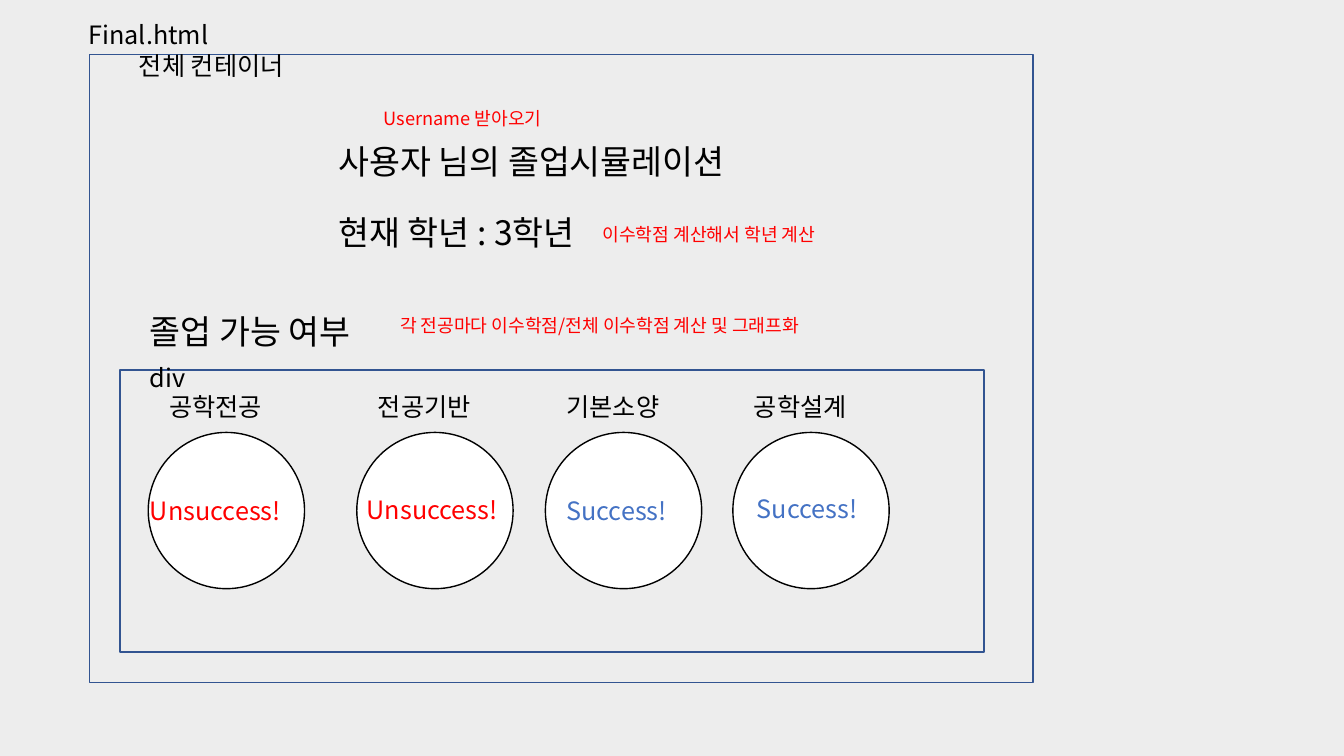
from lxml import etree
from pptx import Presentation
from pptx import util as u
from pptx.dml.color import RGBColor
from pptx.enum import shapes, text
from pptx.oxml.ns import qn

FONT = "Noto Sans CJK KR"
BLACK, RED, BLUE, NAVY = "000000", "FF0000", "4472C4", "325491"
WIDTH, HEIGHT = u.Inches(13.33), u.Inches(7.5)
ROW_HEIGHT = {24: 6.67, 18: 5.33, 13: 4.27}  # text box height by font size
CIRCLE_W, CIRCLE_H = 11.63, 20.67

# heading, verdict, verdict colour, circle left, verdict left, top and width
AREAS = [
    ("공학전공", "Unsuccess!", RED, 11.03, 10.42, 64.8, 12.45),
    ("전공기반", "Unsuccess!", RED, 26.55, 26.55, 64.67, 12.45),
    ("기본소양", "Success!", BLUE, 40.58, 41.4, 64.8, 11.33),
    ("공학설계", "Success!", BLUE, 54.53, 55.58, 64.53, 11.33),
]


def color(value):
    return RGBColor.from_string(value)


def place(x, y, w, h):
    """Turn percentages of the slide into lengths."""
    return (round(WIDTH * x / 100), round(HEIGHT * y / 100),
            round(WIDTH * w / 100), round(HEIGHT * h / 100))


def add_text(s, content, x, y, w, size=18, fill=BLACK):
    tf = s.shapes.add_textbox(*place(x, y, w, ROW_HEIGHT[size])).text_frame
    tf.word_wrap = True
    tf.auto_size = text.MSO_AUTO_SIZE.SHAPE_TO_FIT_TEXT
    r = tf.paragraphs[0].add_run()
    r.text = content
    r.font.size = u.Pt(size)
    r.font.name = FONT
    r.font.color.rgb = color(fill)
    etree.SubElement(r.font._element, qn("a:ea"), typeface=FONT)


def add_outline(s, kind, x, y, w, h, line, fill=None):
    sp = s.shapes.add_shape(kind, *place(x, y, w, h))
    sp.shadow.inherit = False
    if fill:
        sp.fill.solid()
        sp.fill.fore_color.rgb = color(fill)
    else:
        sp.fill.background()
    sp.line.color.rgb = color(line)
    sp.line.width = u.Pt(1)


def add_area(s, heading, verdict, fill, x, verdict_x, verdict_y, verdict_w):
    add_outline(s, shapes.MSO_SHAPE.OVAL, x, 57.2, CIRCLE_W, CIRCLE_H,
                BLACK, "FFFFFF")
    add_text(s, heading, x + 0.83, 51.07, CIRCLE_W)
    add_text(s, verdict, verdict_x, verdict_y, verdict_w, fill=fill)


def main():
    prs = Presentation()
    prs.slide_width, prs.slide_height = WIDTH, HEIGHT
    s = prs.slides.add_slide(prs.slide_layouts[6])
    s.background.fill.solid()
    s.background.fill.fore_color.rgb = color("EDEDED")

    add_text(s, "사용자 님의 졸업시뮬레이션", 24.45, 18, 32.18, size=24)
    add_text(s, "현재 학년 : 3학년", 24.45, 27.33, 24.15, size=24)
    add_text(s, "졸업 가능 여부", 10.42, 40.53, 18.6, size=24)

    for area in AREAS:
        add_area(s, *area)

    add_text(s, "Username 받아오기", 27.83, 13.47, 20.25, size=13, fill=RED)
    add_text(s, "각 전공마다 이수학점/전체 이수학점 계산 및 그래프화",
             29.03, 40.93, 31.73, size=13, fill=RED)
    add_text(s, "이수학점 계산해서 학년 계산", 44.1, 28.93, 27.45,
             size=13, fill=RED)

    add_outline(s, shapes.MSO_SHAPE.RECTANGLE, 8.93, 48.93, 64.28, 37.33, NAVY)
    add_outline(s, shapes.MSO_SHAPE.RECTANGLE, 6.68, 7.2, 70.2, 83.07, NAVY)
    add_text(s, "전체 컨테이너", 9.6, 6, 14.85)
    add_text(s, "Final.html", 5.85, 1.87, 16.95)
    add_text(s, "div", 10.42, 47.2, 9.98)
    prs.save("out.pptx")


if __name__ == "__main__":
    main()
